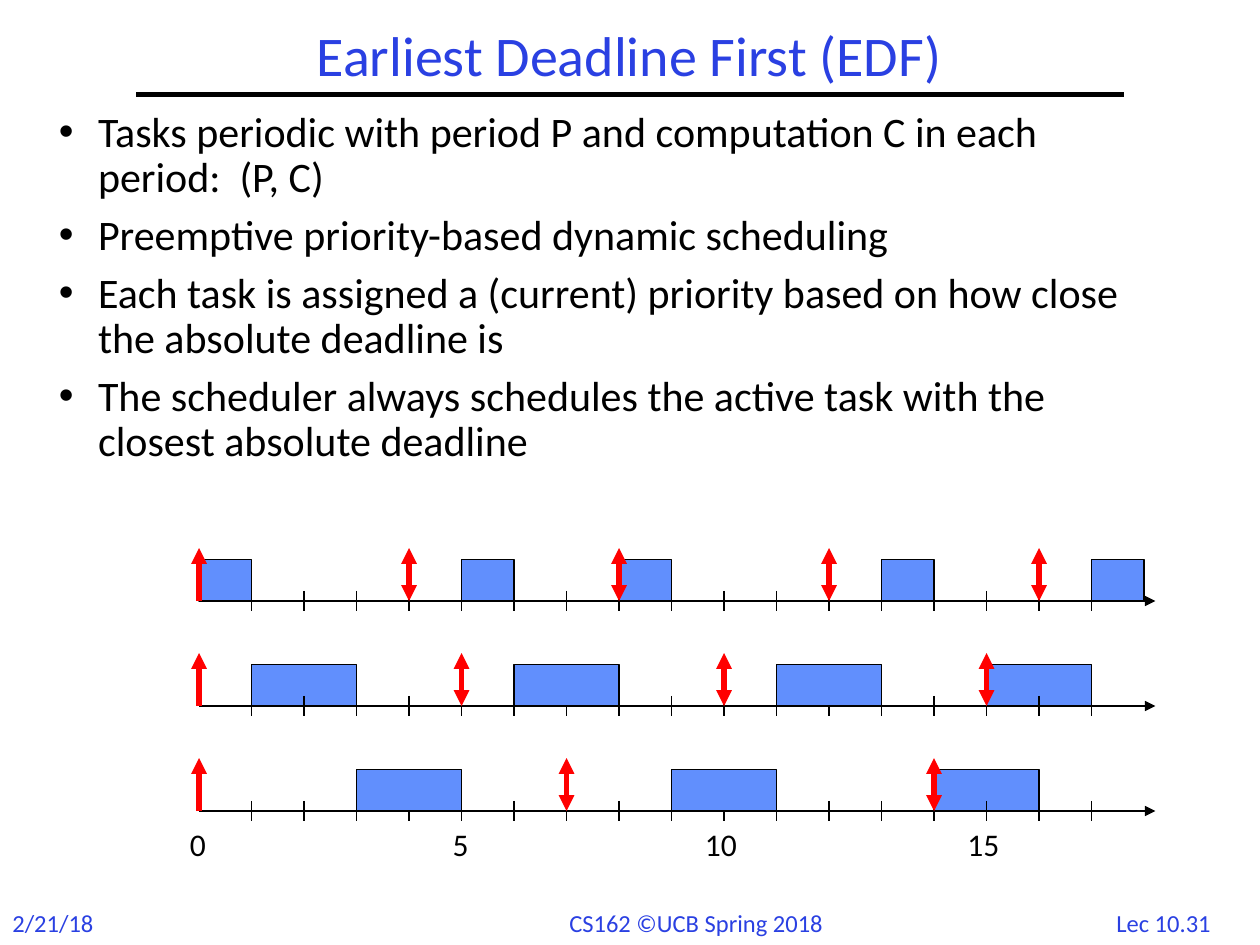
"""Build the Earliest Deadline First slide with its three task timelines."""
from lxml.etree import SubElement
from pptx import Presentation
from pptx.dml.color import RGBColor
from pptx.enum.shapes import MSO_CONNECTOR, MSO_SHAPE
from pptx.enum.text import MSO_ANCHOR, PP_ALIGN
from pptx.oxml.ns import qn
from pptx.util import Inches, Pt

COLORS = {"ink": "000000", "blue": "2A40E2", "bar": "618FFD", "red": "FF0000"}
TITLE = "Earliest Deadline First (EDF)"
BULLETS = [
    "Tasks periodic with period P and computation C in each period:  (P, C)",
    "Preemptive priority-based dynamic scheduling",
    "Each task is assigned a (current) priority based on how close the absolute deadline is",
    "The scheduler always schedules the active task with the closest absolute deadline",
]
FOOTERS = [
    ("2/21/18", 0, 1.1, PP_ALIGN.LEFT),
    ("CS162 ©UCB Spring 2018", 4.42, 2.3, PP_ALIGN.LEFT),
    ("Lec 10.31", 8.72, 1.03, PP_ALIGN.CENTER),
]
TASKS = [
    {"period": 4, "cost": 1, "under": [0, 5, 8], "over": [13, 17]},
    {"period": 5, "cost": 2, "under": [1, 15], "over": [6, 11]},
    {"period": 7, "cost": 2, "under": [14], "over": [3, 9]},
]
LABELS = [0, 5, 10, 15]
LEFT, RIGHT, STEP = 1.58, 9.17, 5 / 12
TOP, GAP, TICKS = 4.77, 5 / 6, 17
BAR, TICK, ARROW = 0.33, 0.08, 0.42


def color(name):
    return RGBColor.from_string(COLORS[name])


def time_x(time):
    return LEFT + time * STEP


def add_text(slide, box, lines, size, ink="ink", align=PP_ALIGN.LEFT,
             wrap=True, anchor=MSO_ANCHOR.TOP, bullet=False, space=None):
    frame = slide.shapes.add_textbox(*map(Inches, box)).text_frame
    frame.word_wrap = wrap
    frame.vertical_anchor = anchor
    for i, line in enumerate(lines):
        para = frame.paragraphs[0] if i == 0 else frame.add_paragraph()
        para.text = line
        para.alignment = align
        if space:
            para.line_spacing = space
        if bullet:
            if i:
                para.space_before = Pt(7.2)
            props = para._p.get_or_add_pPr()
            props.set("marL", str(Inches(0.31)))
            props.set("indent", str(-Inches(0.31)))
            SubElement(props, qn("a:buFont"), typeface="Arial")
            SubElement(props, qn("a:buChar"), char="•")
        para.font.name = "Calibri"
        para.font.size = Pt(size)
        para.font.color.rgb = color(ink)


def add_line(slide, start, end, width, ink="ink", ends=()):
    link = slide.shapes.add_connector(
        MSO_CONNECTOR.STRAIGHT, *map(Inches, (*start, *end)))
    link.line.width = Pt(width)
    link.line.color.rgb = color(ink)
    for end_tag in ends:
        SubElement(link.line._get_or_add_ln(), qn(end_tag), type="triangle")
    SubElement(link._element.spPr, qn("a:effectLst"))


def add_bars(slide, layer):
    for row, task in enumerate(TASKS):
        for start in task[layer]:
            box = (time_x(start), TOP + row * GAP - BAR, task["cost"] * STEP, BAR)
            bar = slide.shapes.add_shape(MSO_SHAPE.RECTANGLE, *map(Inches, box))
            bar.shadow.inherit = False
            bar.fill.solid()
            bar.fill.fore_color.rgb = color("bar")
            bar.line.color.rgb = color("ink")
            bar.line.width = Pt(0.75)


def add_axis(slide, base):
    add_line(slide, (LEFT, base), (RIGHT, base), 1.5, ends=["a:tailEnd"])
    add_line(slide, (LEFT, base), (LEFT, base - BAR), 1.5)
    for time in range(1, TICKS + 1):
        x = time_x(time)
        add_line(slide, (x, base - TICK), (x, base + TICK), 0.75)


def add_arrows(slide, base, period):
    for time in range(0, TICKS + 1, period):
        ends = ["a:headEnd", "a:tailEnd"] if time else ["a:tailEnd"]
        x = time_x(time)
        add_line(slide, (x, base), (x, base - ARROW), 3, "red", ends)


def main():
    deck = Presentation()
    deck.slide_width, deck.slide_height = Inches(10), Inches(7.5)
    slide = deck.slides.add_slide(deck.slide_layouts[6])

    for text, left, width, align in FOOTERS:
        add_text(slide, (left, 7.16, width, 0.34), [text], 14, "blue", align)
    add_line(slide, (1.08, 0.75), (8.92, 0.75), 3)
    add_text(slide, (1.08, 0.17, 7.83, 0.58), [TITLE], 32, "blue",
             PP_ALIGN.CENTER, anchor=MSO_ANCHOR.MIDDLE, space=0.9)
    add_text(slide, (0.37, 0.83, 8.96, 5.75), BULLETS, 24, bullet=True, space=0.9)

    add_bars(slide, "under")
    for row, task in enumerate(TASKS):
        add_axis(slide, TOP + row * GAP)
        add_arrows(slide, TOP + row * GAP, task["period"])
    add_bars(slide, "over")
    for time in LABELS:
        shift = 0.17 if time < 10 else 0.25
        add_text(slide, (time_x(time) - shift, 6.5, 0.67, 0.4), [str(time)], 18)

    deck.save("out.pptx")


if __name__ == "__main__":
    main()
